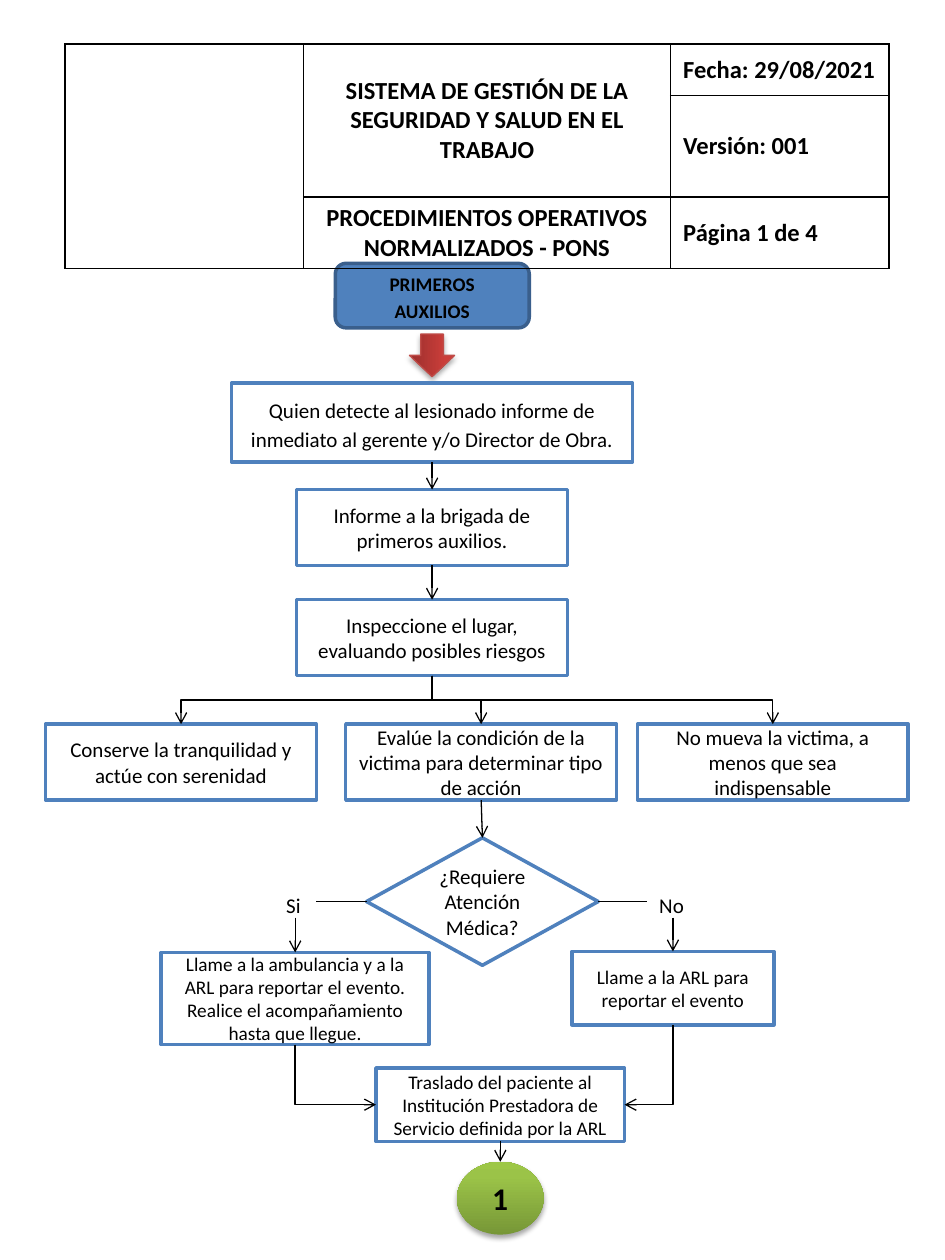
from copy import deepcopy

from lxml import etree
from pptx import Presentation
from pptx.dml.color import RGBColor
from pptx.enum.shapes import MSO_CONNECTOR, MSO_SHAPE
from pptx.enum.text import MSO_ANCHOR, PP_ALIGN
from pptx.oxml.ns import qn
from pptx.util import Cm, Pt

BLACK, WHITE, BLUE = "000000", "FFFFFF", "4F81BD"
TOP, BOTTOM = 0, 2


def color(value):
    return RGBColor.from_string(value)


def write(frame, text, size, bold=False, align=PP_ALIGN.CENTER, spacing=None):
    frame.text = text
    para = frame.paragraphs[0]
    para.alignment = align
    if spacing:
        para.line_spacing = spacing
    font = para.runs[0].font
    font.name, font.size, font.bold = "Calibri", Pt(size), bold
    font.color.rgb = color(BLACK)


def add_box(page, kind, place, text="", size=12, fill=WHITE, line=BLUE,
            bold=False, spacing=None):
    box = page.shapes.add_shape(kind, *[Cm(length) for length in place])
    box.shadow.inherit = False
    box.fill.solid()
    box.fill.fore_color.rgb = color(fill)
    box.line.color.rgb = color(line)
    box.line.width = Pt(2)
    if text:
        box.text_frame.word_wrap = True
        box.text_frame.vertical_anchor = MSO_ANCHOR.MIDDLE
        write(box.text_frame, text, size, bold, spacing=spacing)
    return box


def add_label(page, place, text):
    label = page.shapes.add_textbox(*[Cm(length) for length in place])
    label.text_frame.word_wrap = False
    write(label.text_frame, text, 12, align=PP_ALIGN.LEFT)
    return label


def add_gloss(shape, colors):
    """Upward three-stop gradient with a soft shadow below."""
    shape.fill.gradient()
    shape.fill.gradient_angle = 90
    properties = shape.element.spPr
    stop_list = properties.find(qn("a:gradFill")).find(qn("a:gsLst"))
    stop_list.append(deepcopy(stop_list[-1]))
    for stop, value, position in zip(shape.fill.gradient_stops, colors, (0, 0.8, 1)):
        stop.color.rgb = color(value)
        stop.position = position
    shadow = etree.SubElement(
        properties.find(qn("a:effectLst")), qn("a:outerShdw"),
        blurRad=str(Pt(3.1)), dist=str(Pt(1.8)), dir="5400000", rotWithShape="0")
    tint = etree.SubElement(shadow, qn("a:srgbClr"), val=BLACK)
    etree.SubElement(tint, qn("a:alpha"), val="35000")


def add_line(page, start, end, kind=MSO_CONNECTOR.STRAIGHT, arrow=True):
    line = page.shapes.add_connector(kind, *[int(n) for n in (*start, *end)])
    line.line.color.rgb = color(BLACK)
    line.line.width = Pt(0.75)
    if arrow:
        etree.SubElement(line.line._get_or_add_ln(), qn("a:tailEnd"), type="arrow")
    etree.SubElement(line.element.spPr, qn("a:effectLst"))
    return line


def center(shape):
    return shape.left + shape.width // 2, shape.top + shape.height // 2


def bottom(shape):
    return center(shape)[0], shape.top + shape.height


def top(shape):
    return center(shape)[0], shape.top


def join(page, upper, lower):
    line = add_line(page, bottom(upper), top(lower))
    line.begin_connect(upper, BOTTOM)
    line.end_connect(lower, TOP)


def add_elbow(page, start, end, preset="bentConnector3"):
    """Elbow that leaves downwards: a sideways elbow turned a quarter."""
    (x1, y1), (x2, y2) = start, end
    middle_x, middle_y = (x1 + x2) / 2, (y1 + y2) / 2
    half_run, half_rise = (y2 - y1) / 2, abs(x2 - x1) / 2
    to_right = x2 > x1
    if to_right:
        half_run = -half_run
    line = add_line(page, (middle_x - half_run, middle_y - half_rise),
                    (middle_x + half_run, middle_y + half_rise), MSO_CONNECTOR.ELBOW)
    properties = line.element.spPr
    properties.find(qn("a:xfrm")).set("rot", "16200000" if to_right else "5400000")
    properties.find(qn("a:prstGeom")).set("prst", preset)


def add_borders(cell):
    properties = cell._tc.get_or_add_tcPr()
    for side in ("lnL", "lnR", "lnT", "lnB"):
        edge = etree.SubElement(properties, qn("a:" + side), w=str(Pt(1)))
        fill = etree.SubElement(edge, qn("a:solidFill"))
        etree.SubElement(fill, qn("a:srgbClr"), val=BLACK)


def add_header(page):
    widths, heights = (4.81, 7.4, 4.4), (1.04, 2.04, 1.44)
    table = page.shapes.add_table(3, 3, Cm(1.31), Cm(0.89), Cm(sum(widths)),
                                  Cm(sum(heights))).table
    table.first_row = table.horz_banding = False
    for column, width in zip(table.columns, widths):
        column.width = Cm(width)
    for row, height in zip(table.rows, heights):
        row.height = Cm(height)
    for cell in table.iter_cells():
        add_borders(cell)
        cell.fill.background()
        cell.vertical_anchor = MSO_ANCHOR.MIDDLE
    table.cell(0, 0).merge(table.cell(2, 0))
    table.cell(0, 1).merge(table.cell(1, 1))
    titles = {0: "SISTEMA DE GESTIÓN DE LA SEGURIDAD Y SALUD EN EL TRABAJO",
              2: "PROCEDIMIENTOS OPERATIVOS NORMALIZADOS - PONS"}
    for row, text in titles.items():
        write(table.cell(row, 1).text_frame, text, 14, True)
    for row, text in enumerate(("Fecha: 29/08/2021", "Versión: 001", "Página 1 de 4")):
        write(table.cell(row, 2).text_frame, text, 14, True, PP_ALIGN.LEFT)


def main():
    deck = Presentation()
    deck.slide_width, deck.slide_height = Cm(19.05), Cm(25.4)
    page = deck.slides.add_slide(deck.slide_layouts[6])
    rect = MSO_SHAPE.RECTANGLE
    step_size = (5.46, 1.53)

    # Start and first steps
    add_box(page, MSO_SHAPE.ROUNDED_RECTANGLE, (6.76, 5.31, 3.91, 1.3),
            "PRIMEROS AUXILIOS", 11, BLUE, "3A5F8C", True, 1.15)
    arrow = add_box(page, MSO_SHAPE.RIGHT_ARROW, (8.28, 6.71, 0.86, 0.91), line="BF4C48")
    arrow.rotation = 90
    arrow.line.width = Pt(0.75)
    add_gloss(arrow, ("9C2F2D", "CB3E3A", "CE3B37"))
    detect = add_box(page, rect, (4.67, 7.72, 8.08, 1.6),
                     "Quien detecte al lesionado informe de inmediato al gerente "
                     "y/o Director de Obra.", spacing=1.15)
    inform = add_box(page, rect, (5.98, 9.87, *step_size),
                     "Informe a la brigada de primeros auxilios.")
    inspect = add_box(page, rect, (5.98, 12.09, *step_size),
                      "Inspeccione el lugar, evaluando posibles riesgos")

    # Three parallel actions
    actions = [add_box(page, rect, (left, 14.6, *step_size), text) for left, text in (
        (0.92, "Conserve la tranquilidad y actúe con serenidad"),
        (6.97, "Evalúe la condición de la victima para determinar tipo de acción"),
        (12.85, "No mueva la victima, a menos que sea indispensable"))]
    for action in actions:
        add_elbow(page, bottom(inspect), top(action))

    # Decision and its two branches
    decision = add_box(page, MSO_SHAPE.DIAMOND, (7.39, 16.89, 4.67, 2.57),
                       "¿Requiere Atención Médica?")
    yes = add_label(page, (5.52, 17.86, 0.86, 0.64), "Si")
    no = add_label(page, (13.04, 17.86, 1.02, 0.64), "No")
    ambulance = add_box(page, rect, (3.25, 19.2, 5.4, 1.86),
                        "Llame a la ambulancia y a la ARL para reportar el evento. "
                        "Realice el acompañamiento hasta que llegue.", 11)
    report = add_box(page, rect, (11.53, 19.18, 4.07, 1.48),
                     "Llame a la ARL para reportar el evento", 11)
    middle = center(decision)[1]
    add_line(page, (decision.left, middle), (yes.left + yes.width, middle), arrow=False)
    add_line(page, (decision.left + decision.width, middle), (no.left, middle), arrow=False)
    for label, branch in ((yes, ambulance), (no, report)):
        add_line(page, (center(branch)[0], bottom(label)[1]), top(branch))

    # Transfer and link to the next page
    transfer = add_box(page, rect, (7.58, 21.53, 5.01, 1.48),
                       "Traslado del paciente al Institución Prestadora de Servicio "
                       "definida por la ARL", 11)
    middle = center(transfer)[1]
    for branch, edge in ((ambulance, transfer.left),
                         (report, transfer.left + transfer.width)):
        add_elbow(page, bottom(branch), (edge, middle), "bentConnector2")
    next_page = add_box(page, MSO_SHAPE.OVAL, (9.21, 23.42, 1.75, 1.47), "1", 18, bold=True)
    next_page.line.fill.background()
    add_gloss(next_page, ("779737", "9BC348", "9DC746"))

    # Straight links between steps
    for upper, lower in ((detect, inform), (inform, inspect),
                         (actions[1], decision), (transfer, next_page)):
        join(page, upper, lower)

    add_header(page)
    deck.save("out.pptx")


main()
